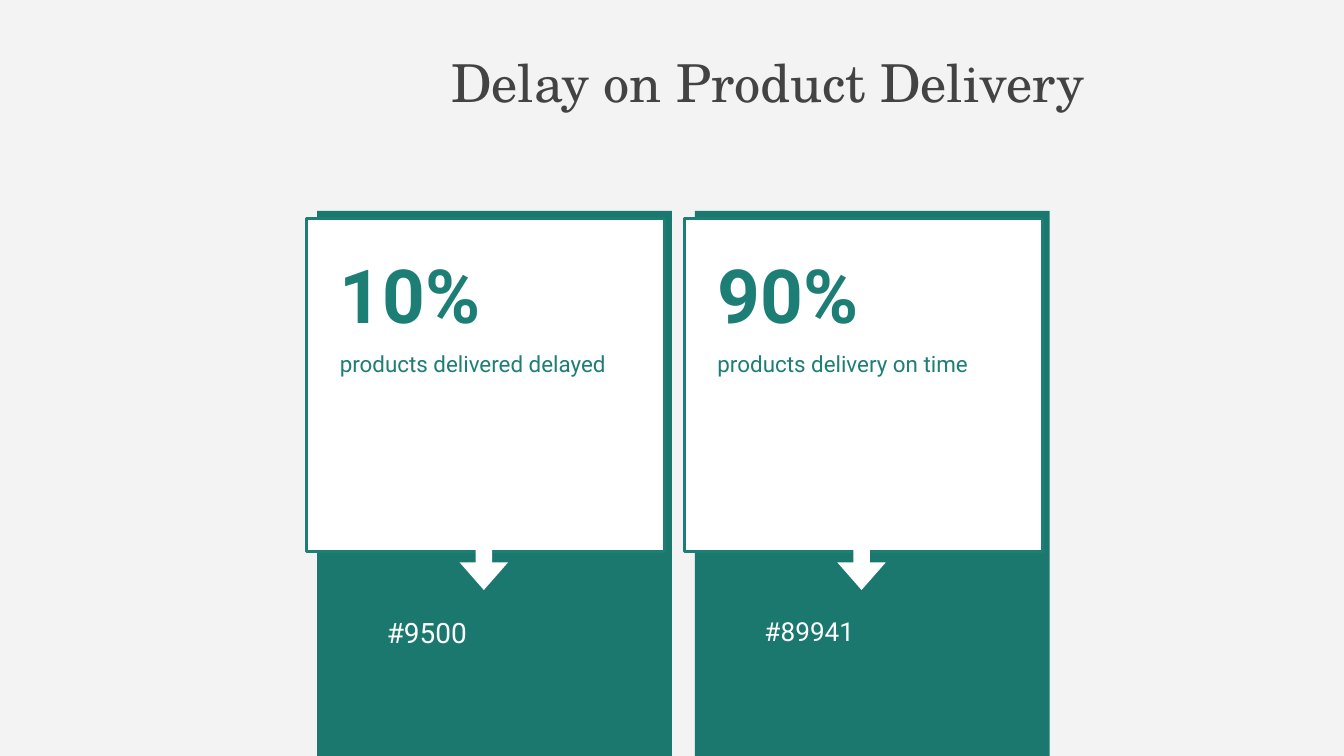
from pptx import Presentation
from pptx.dml.color import RGBColor
from pptx.enum.shapes import MSO_SHAPE
from pptx.enum.text import MSO_ANCHOR
from pptx.util import Inches, Pt

UNIT = Inches(10) / 100
GREEN, TEAL, WHITE = "1B786F", "1D7E75", "FFFFFF"


def rgb(value):
    """Turn a hex string into a colour."""
    return RGBColor.from_string(value)


def place(box, x, y, w, h):
    """Turn grid units inside a box into slide lengths."""
    left, top = box[:2]
    return [round(v * UNIT) for v in (left + x, top + y, w, h)]


def add_block(shapes, kind, area, fill, line=None):
    """Add a filled preset shape with an optional outline."""
    sp = shapes.add_shape(kind, *area)
    sp.shadow.inherit = False
    sp.fill.solid()
    sp.fill.fore_color.rgb = rgb(fill)
    if line:
        sp.line.color.rgb = rgb(line)
        sp.line.width = Pt(1.5)
    else:
        sp.line.fill.background()
    return sp


def add_text(shapes, area, text, size, color, font="Roboto", bold=False,
             indent=0, spacing=None, anchor=MSO_ANCHOR.TOP):
    """Add a wrapped text box holding one run."""
    tf = shapes.add_textbox(*area).text_frame
    tf.word_wrap = True
    tf.vertical_anchor = anchor
    tf.margin_left = tf.margin_right = Inches(0.1)
    tf.margin_top = tf.margin_bottom = Inches(0.1)
    p = tf.paragraphs[0]
    p.line_spacing = spacing
    if indent:
        pPr = p._p.get_or_add_pPr()
        pPr.set("marL", str(Inches(indent)))
        pPr.set("indent", "0")
    r = p.add_run()
    r.text = text
    r.font.size = Pt(size)
    r.font.name = font
    r.font.bold = bold
    r.font.color.rgb = rgb(color)


def add_title(s, box, text):
    """Add the slide title, indented towards the right."""
    add_text(s.shapes, place(box, 0, 0, *box[2:]), text, 28, "434343",
             font="TeX Gyre Schola", indent=2.48, anchor=MSO_ANCHOR.MIDDLE)


def add_card(s, box, share, label, count, count_size):
    """Add a card with a share above and a count below."""
    w, h = box[2:]
    shapes = s.shapes.add_group_shape().shapes
    add_block(shapes, MSO_SHAPE.RECTANGLE,
              place(box, 0.8, 0, w - 0.8, h), GREEN)
    add_block(shapes, MSO_SHAPE.RECTANGLE,
              place(box, 0, 0.55, w - 0.55, 24.8), WHITE, TEAL)
    add_text(shapes, place(box, 1.5, 9.35, 23.6, 6.1), label, 12, TEAL)
    add_text(shapes, place(box, 1.5, 1.8, 23.6, 6.7), share, 40, TEAL,
             bold=True)
    arrow = add_block(shapes, MSO_SHAPE.RIGHT_ARROW,
                      place(box, 11.25, 24.45, 3.9, 3.6), WHITE)
    arrow.rotation = 90
    arrow.adjustments[0], arrow.adjustments[1] = 0.34, 0.57
    add_text(shapes, place(box, 0, 28.75, w - 0.8, 10.8), count, count_size,
             WHITE, indent=0.5, spacing=1.15)


def main():
    """Build the slide and save it."""
    prs = Presentation()
    prs.slide_width = Inches(10)
    prs.slide_height = prs.slide_width * 9 // 16
    s = prs.slides.add_slide(prs.slide_layouts[6])
    s.background.fill.solid()
    s.background.fill.fore_color.rgb = rgb("F3F3F3")
    add_title(s, (7.8, 3.5, 84.4, 5.2), "Delay on Product Delivery")
    cards = [("10%", "products delivered delayed", "#9500", 15),
             ("90%", "products delivery on time", "#89941", 14)]
    for i, card in enumerate(cards):
        add_card(s, (22.8 + 28.1 * i, 15.7, 27.2, 40.6), *card)
    prs.save("out.pptx")


if __name__ == "__main__":
    main()
